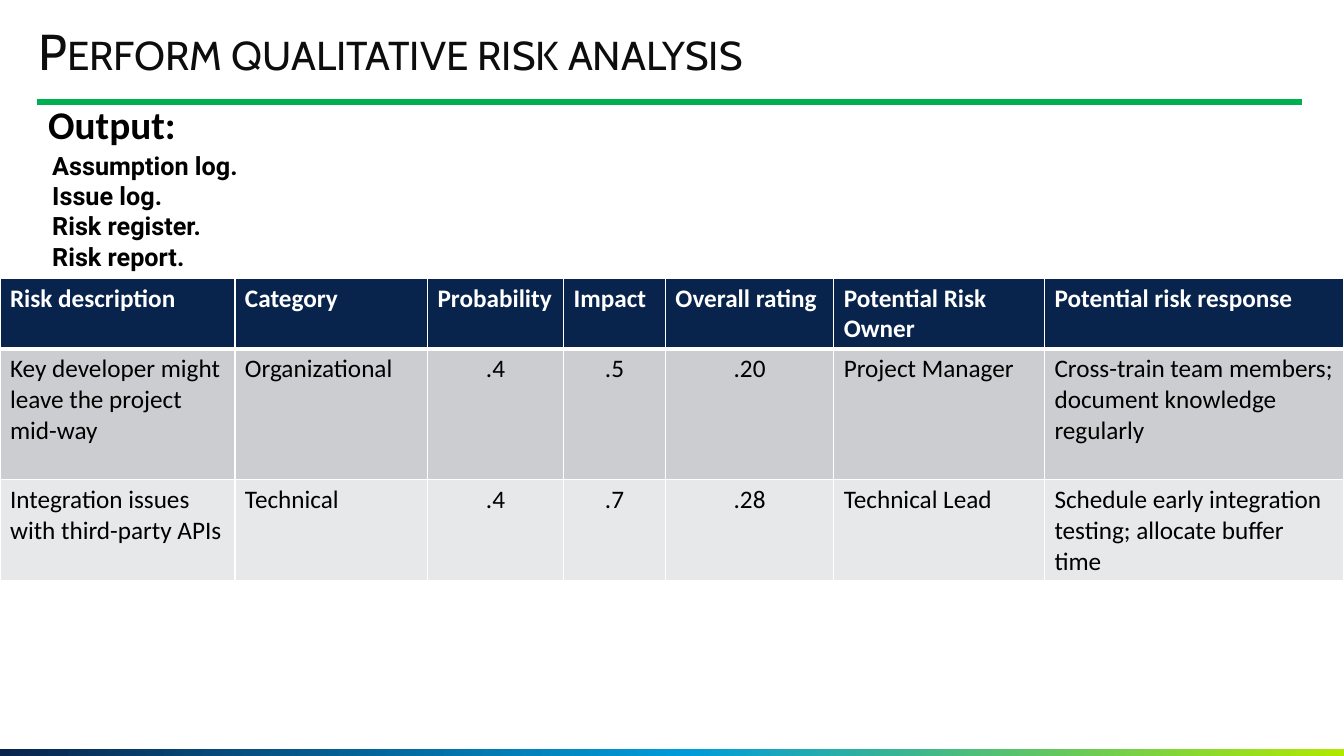
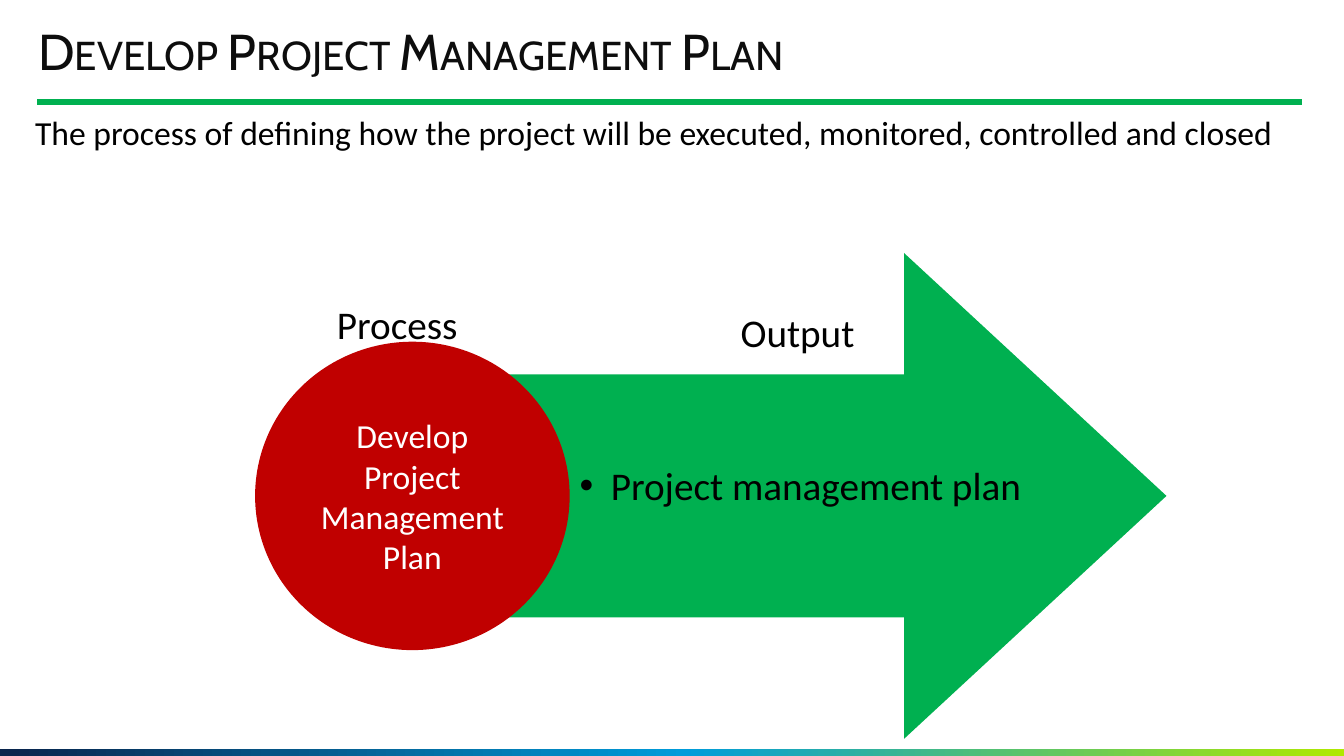
from copy import deepcopy

from lxml import etree
from pptx import Presentation
from pptx import util as u
from pptx.dml.color import RGBColor
from pptx.enum import shapes, text
from pptx.oxml.ns import qn

COLORS = {
    "navy": "09244C",
    "blue": "009CDA",
    "lime": "B0E900",
    "green": "00B050",
    "red": "C00000",
    "ink": "0D0D0D",
    "black": "000000",
    "white": "FFFFFF",
    "gray": "CCCDD0",
    "pale": "E7E8E9",
}
RGB = {name: RGBColor.from_string(value) for name, value in COLORS.items()}
CENTER = text.PP_ALIGN.CENTER


def write(frame, content, size=18, font="Calibri", color="black", bold=False,
          align=text.PP_ALIGN.LEFT, spacing=1.0, small_caps=False, bullet=None):
    frame.word_wrap = True
    for index, line in enumerate(content.split("\n")):
        para = frame.add_paragraph() if index else frame.paragraphs[0]
        para.alignment = align
        para.line_spacing = spacing
        if bullet:
            props = para._p.get_or_add_pPr()
            props.set("marL", str(u.Inches(0.31)))
            props.set("indent", str(u.Inches(-0.31)))
            etree.SubElement(props, qn("a:buFont"), typeface="Arial")
            etree.SubElement(props, qn("a:buChar"), char=bullet)
        span = para.add_run()
        span.text = line
        span.font.size = u.Pt(size)
        span.font.name = font
        span.font.bold = bold
        span.font.color.rgb = RGB[color]
        if small_caps:
            span._r.get_or_add_rPr().set("cap", "small")


def add_box(page, left, top, width, height, kind=None, fill=None):
    place = [u.Inches(value) for value in (left, top, width, height)]
    if kind is None:
        return page.shapes.add_textbox(*place)
    box = page.shapes.add_shape(kind, *place)
    box.shadow.inherit = False
    box.line.fill.background()
    if fill:
        box.fill.solid()
        box.fill.fore_color.rgb = RGB[fill]
    return box


deck = Presentation()
deck.slide_width, deck.slide_height = u.Inches(13.33), u.Inches(7.5)

pages = []
for title in ("Perform qualitative risk analysis", "Develop Project Management Plan"):
    page = deck.slides.add_slide(deck.slide_layouts[6])
    pages.append(page)

    band = add_box(page, 0, 7.43, 13.33, 0.07, shapes.MSO_SHAPE.RECTANGLE)
    band.fill.gradient()
    band.fill.gradient_angle = 0
    first_stop = band.fill._xPr.find(".//" + qn("a:gs"))
    first_stop.addnext(deepcopy(first_stop))
    stops = (("navy", 0), ("blue", 0.51), ("lime", 1))
    for stop, (color, position) in zip(band.fill.gradient_stops, stops):
        stop.color.rgb = RGB[color]
        stop.position = position

    rule = page.shapes.add_connector(
        shapes.MSO_CONNECTOR.STRAIGHT,
        u.Inches(0.37), u.Inches(1.01), u.Inches(12.91), u.Inches(1.01))
    rule.line.color.rgb = RGB["green"]
    rule.line.width = u.Pt(4.5)
    etree.SubElement(rule._element.spPr, qn("a:effectLst"))

    heading = add_box(page, 0.38, 0.27, 11.19, 0.55).text_frame
    heading.margin_left = heading.margin_right = 0
    heading.margin_top = heading.margin_bottom = 0
    write(heading, title, size=36, font="Cabin", color="ink", spacing=0.9, small_caps=True)

risk_page, plan_page = pages

write(add_box(risk_page, 0.38, 1, 12.53, 0.55).text_frame, "Output:",
      size=28, bold=True, spacing=0.9)
write(add_box(risk_page, 0.42, 1.44, 12.53, 1.31).text_frame,
      "Assumption log.\nIssue log.\nRisk register.\nRisk report.",
      font="Roboto", bold=True)

risks = [
    ["Risk description", "Category", "Probability", "Impact", "Overall rating",
     "Potential Risk Owner", "Potential risk response"],
    ["Key developer might leave the project mid-way", "Organizational", ".4", ".5", ".20",
     "Project Manager", "Cross-train team members; document knowledge regularly"],
    ["Integration issues with third-party APIs", "Technical", ".4", ".7", ".28",
     "Technical Lead", "Schedule early integration testing; allocate buffer time"],
]
column_widths = [2.33, 1.91, 1.35, 1.01, 1.67, 2.09, 2.97]
row_heights = [0.7, 1.3, 1]
row_fills = ["navy", "gray", "pale"]
table = risk_page.shapes.add_table(
    len(risks), len(column_widths), 0, u.Inches(2.76),
    u.Inches(13.33), u.Inches(sum(row_heights))).table
for column, width in zip(table.columns, column_widths):
    column.width = u.Inches(width)
for row_index, values in enumerate(risks):
    table.rows[row_index].height = u.Inches(row_heights[row_index])
    header = row_index == 0
    for column_index, value in enumerate(values):
        cell = table.cell(row_index, column_index)
        cell.fill.solid()
        cell.fill.fore_color.rgb = RGB[row_fills[row_index]]
        numeric = not header and column_index in (2, 3, 4)
        write(cell.text_frame, value, color="white" if header else "black", bold=header,
              align=CENTER if numeric else text.PP_ALIGN.LEFT)
        props = cell._tc.get_or_add_tcPr()
        for order, side in enumerate("LRTB"):
            thick = (row_index, side) in ((0, "B"), (1, "T"))
            border = etree.Element(qn("a:ln" + side), w=str(u.Pt(3 if thick else 1)))
            paint = etree.SubElement(border, qn("a:solidFill"))
            etree.SubElement(paint, qn("a:srgbClr"), val=COLORS["white"])
            props.insert(order, border)

write(add_box(plan_page, 0.25, 1.06, 12.5, 0.5).text_frame,
      "The process of defining how the project will be executed, monitored, "
      "controlled and closed", size=24)

arrow = add_box(plan_page, 4.81, 2.51, 6.76, 4.82, shapes.MSO_SHAPE.RIGHT_ARROW, "green")
arrow.adjustments[0] = 0.5
arrow.adjustments[1] = 0.54

circle = add_box(plan_page, 2.53, 3.39, 3.12, 3.06, shapes.MSO_SHAPE.OVAL, "red")
circle.text_frame.vertical_anchor = text.MSO_ANCHOR.MIDDLE
write(circle.text_frame, "Develop Project Management Plan", size=24, color="white", align=CENTER)

for label, left, top in (("Process", 3.08, 2.93), ("Output", 7.05, 3.01)):
    write(add_box(plan_page, left, top, 1.72, 0.57).text_frame, label, size=28, align=CENTER)
write(add_box(plan_page, 5.65, 4.53, 5.58, 0.57).text_frame,
      "Project management plan", size=28, bullet="•")

deck.save("out.pptx")
